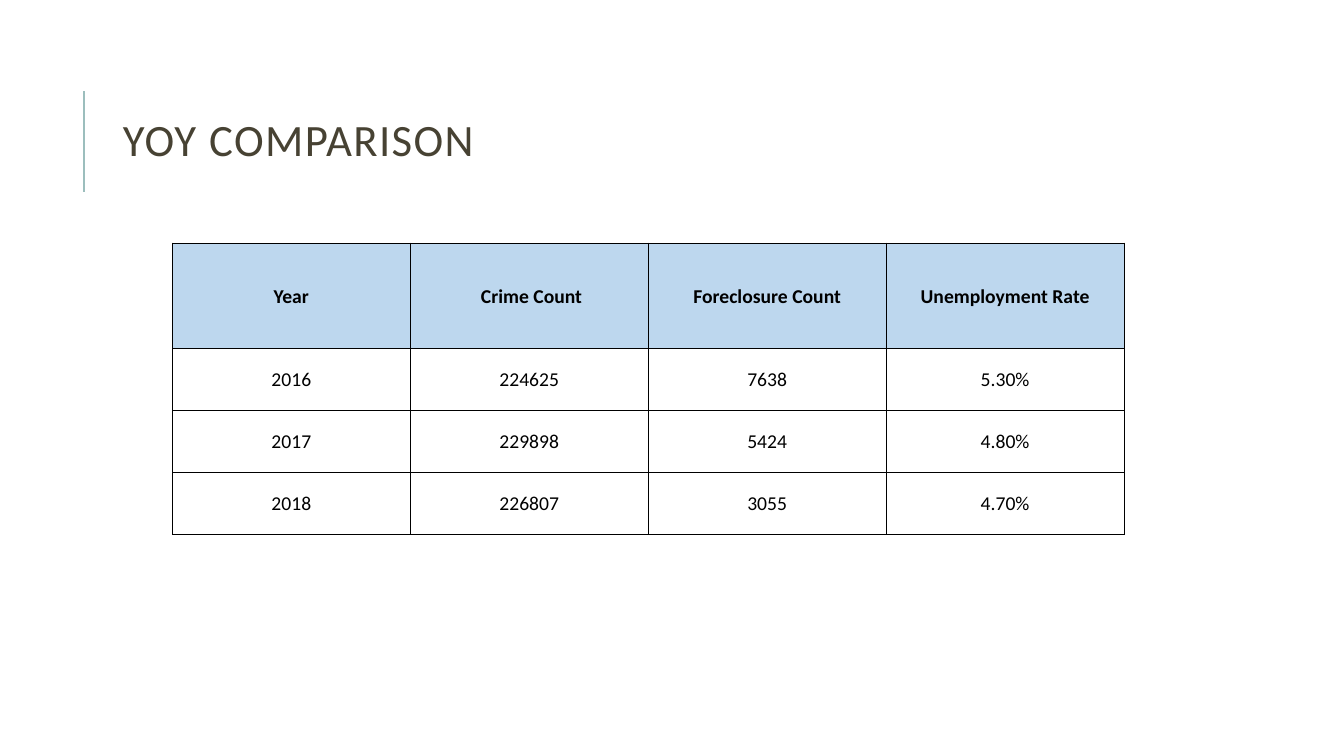
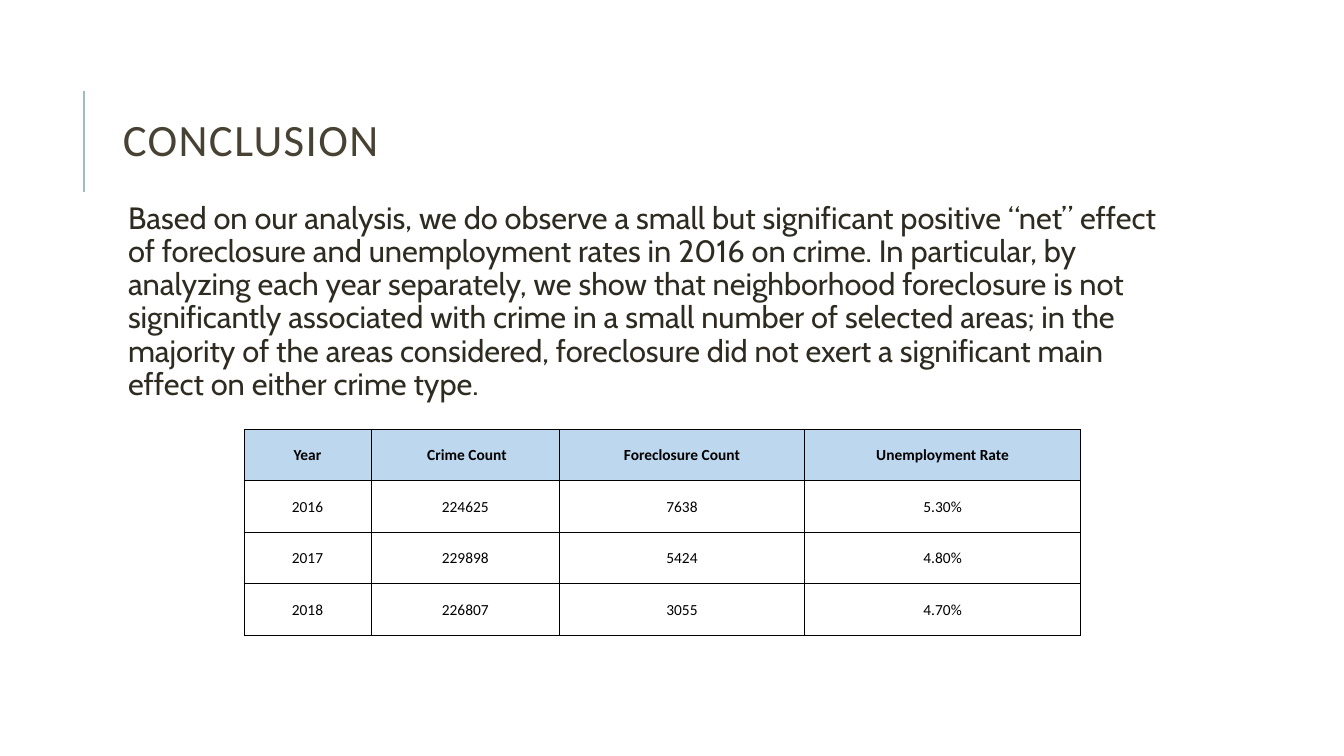
from lxml import etree
from pptx import Presentation
from pptx.dml.color import RGBColor
from pptx.enum.shapes import MSO_CONNECTOR
from pptx.enum.text import MSO_ANCHOR, PP_ALIGN
from pptx.oxml.ns import qn
from pptx.util import Inches, Pt

STRAIGHT = MSO_CONNECTOR.STRAIGHT
TOP, MIDDLE = MSO_ANCHOR.TOP, MSO_ANCHOR.MIDDLE
CENTER = PP_ALIGN.CENTER

WHITE, BLACK = "FFFFFF", "000000"
ACCENT, TITLE_INK, BODY_INK, HEADER_FILL = "9CBEBD", "474233", "2E2B21", "BDD7EE"
TITLE_FONT, BODY_FONT = "Calibri", "Cabin"

TITLE_BOX = (1.12, 1.06, 11, 0.72)
BODY_BOX = (1.12, 1.96, 10.63, 4.94)

YEARLY_FIGURES = [
    ("Year", " Crime Count", "Foreclosure Count", "Unemployment Rate"),
    ("2016", "224625", "7638", "5.30%"),
    ("2017", "229898", "5424", "4.80%"),
    ("2018", "226807", "3055", "4.70%"),
]
FINDINGS = (
    "Based on our analysis, we do observe a small but significant positive “net” effect "
    "of foreclosure and unemployment rates in 2016 on crime. In particular, by analyzing "
    "each year separately, we show that neighborhood foreclosure is not significantly "
    "associated with crime in a small number of selected areas; in the majority of the "
    "areas considered, foreclosure did not exert a significant main effect on either "
    "crime type."
)


def color(hex_value):
    """Turn a hex string into a colour."""
    return RGBColor.from_string(hex_value)


def add_run(paragraph, text, font, size, ink, bold=False):
    """Append a styled run and return it."""
    run = paragraph.add_run()
    run.text = text
    run.font.name = font
    run.font.size = Pt(size)
    run.font.bold = bold
    run.font.color.rgb = color(ink)
    return run


def add_text_frame(slide, box, anchor):
    """Add a wrapping text box and return its frame."""
    frame = slide.shapes.add_textbox(*map(Inches, box)).text_frame
    frame.word_wrap = True
    frame.vertical_anchor = anchor
    return frame


def add_title(slide, text, box):
    """Place the title and the accent rule to its left."""
    left, top, _, height = box
    rule_x, middle = left - 0.29, top + height / 2 - 0.02
    rule = slide.shapes.add_connector(
        STRAIGHT, Inches(rule_x), Inches(middle + 0.5), Inches(rule_x), Inches(middle - 0.5))
    rule.line.color.rgb = color(ACCENT)
    rule.line.width = Pt(1.5)
    etree.SubElement(rule.element.spPr, qn("a:effectLst"))

    paragraph = add_text_frame(slide, box, MIDDLE).paragraphs[0]
    paragraph.line_spacing = 0.8
    run = add_run(paragraph, text, TITLE_FONT, 32, TITLE_INK)
    run.font._element.set("spc", "100")


def add_body(slide, text, box):
    """Place the indented body paragraph."""
    frame = add_text_frame(slide, box, TOP)
    frame.margin_left = frame.margin_right = Inches(0.05)
    frame.margin_top = frame.margin_bottom = Inches(0.05)
    paragraph = frame.paragraphs[0]
    paragraph.line_spacing = 0.9
    paragraph.space_before, paragraph.space_after = Pt(12), Pt(2)
    paragraph._p.get_or_add_pPr().set("marL", str(Inches(0.1)))
    add_run(paragraph, text, BODY_FONT, 22, BODY_INK)


def add_cell_borders(cell):
    """Draw a thin black line on each side of a cell."""
    properties = cell._tc.get_or_add_tcPr()
    for side in ("a:lnL", "a:lnR", "a:lnT", "a:lnB"):
        line = etree.SubElement(properties, qn(side), w=str(Pt(0.5)))
        fill = etree.SubElement(line, qn("a:solidFill"))
        etree.SubElement(fill, qn("a:srgbClr"), val=BLACK)


def add_figures_table(slide, origin, widths, heights, size):
    """Place the yearly figures with a tinted header row."""
    box = (*origin, sum(widths), sum(heights))
    table = slide.shapes.add_table(len(heights), len(widths), *map(Inches, box)).table
    table.horz_banding = table.first_row = False
    for column, width in zip(table.columns, widths):
        column.width = Inches(width)
    for index, (row, height, values) in enumerate(zip(table.rows, heights, YEARLY_FIGURES)):
        row.height = Inches(height)
        is_header = index == 0
        for cell, value in zip(row.cells, values):
            add_cell_borders(cell)
            if is_header:
                cell.fill.solid()
                cell.fill.fore_color.rgb = color(HEADER_FILL)
            else:
                cell.fill.background()
            cell.margin_left = cell.margin_right = cell.margin_top = Inches(0.01)
            cell.margin_bottom = 0
            cell.vertical_anchor = MIDDLE
            paragraph = cell.text_frame.paragraphs[0]
            paragraph.alignment = CENTER
            add_run(paragraph, value, TITLE_FONT, size, BLACK, is_header)


def add_titled_slide(deck, title):
    """Add a blank white slide with the shared title style."""
    slide = deck.slides.add_slide(deck.slide_layouts[6])
    slide.background.fill.solid()
    slide.background.fill.fore_color.rgb = color(WHITE)
    add_title(slide, title, TITLE_BOX)
    return slide


def main():
    """Build and save the deck."""
    deck = Presentation()
    deck.slide_width, deck.slide_height = Inches(13.33), Inches(7.5)

    comparison = add_titled_slide(deck, "YOY COMPARISON")
    add_figures_table(comparison, (1.71, 2.41), [2.36] * 4, [1.05] + [0.615] * 3, 14)

    conclusion = add_titled_slide(deck, "CONCLUSION")
    add_body(conclusion, FINDINGS, BODY_BOX)
    add_figures_table(conclusion, (2.42, 4.26), [1.26, 1.87, 2.43, 2.74], [0.51] * 4, 11)

    deck.save("out.pptx")


if __name__ == "__main__":
    main()
